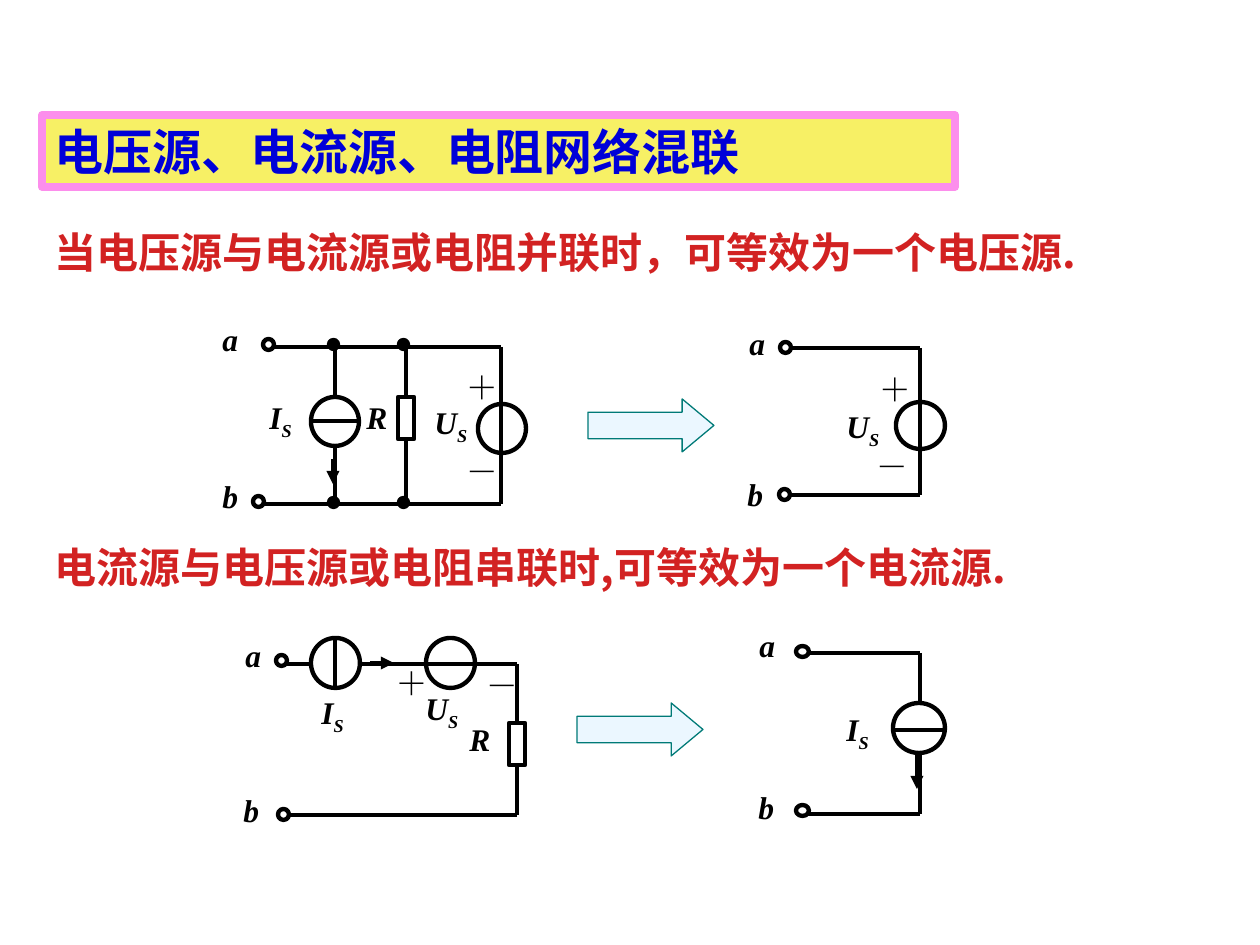
from lxml.etree import SubElement
from pptx import Presentation
from pptx.dml.color import RGBColor
from pptx.enum.shapes import MSO_CONNECTOR, MSO_SHAPE
from pptx.enum.text import MSO_ANCHOR, MSO_AUTO_SIZE, PP_ALIGN
from pptx.oxml.ns import qn
from pptx.util import Emu, Pt

BLACK = RGBColor(0x00, 0x00, 0x00)
WHITE = RGBColor(0xFF, 0xFF, 0xFF)
YELLOW = RGBColor(0xF7, 0xF0, 0x65)
PINK = RGBColor(0xFC, 0x8E, 0xEC)
BLUE = RGBColor(0x00, 0x00, 0xD8)
RED = RGBColor(0xD2, 0x22, 0x22)
PALE = RGBColor(0xEB, 0xF7, 0xFF)
TEAL = RGBColor(0x00, 0x7A, 0x77)
SANS = "Noto Sans CJK SC"
SERIF = "Times New Roman"
STROKE = 2.5


def px(count):
    """Turn pixels into EMU."""
    return Emu(round(count * 914400 / 126))


def style(para, size, name, color, slant=False):
    """Set the font of a paragraph for Latin and Chinese text."""
    para.alignment = PP_ALIGN.LEFT
    font = para.font
    font.size, font.bold, font.italic = Pt(size), True, slant
    font.color.rgb = color
    font.name = name
    SubElement(font._rPr, qn("a:ea"), typeface=name)


def paint(shape, fill, edge=BLACK, width=STROKE):
    """Set the fill and outline of a shape."""
    if fill is None:
        shape.fill.background()
    else:
        shape.fill.solid()
        shape.fill.fore_color.rgb = fill
    shape.line.color.rgb = edge
    shape.line.width = Pt(width)


def form(slide, kind, box, fill, edge=BLACK, width=STROKE):
    """Add a preset shape without shadow."""
    shape = slide.shapes.add_shape(kind, *map(px, box))
    shape.shadow.inherit = False
    paint(shape, fill, edge, width)
    return shape


def wire(slide, x1, y1, x2, y2, tip=False):
    """Add a straight wire, with an arrowhead if asked."""
    link = slide.shapes.add_connector(MSO_CONNECTOR.STRAIGHT, *map(px, (x1, y1, x2, y2)))
    link.line.color.rgb = BLACK
    link.line.width = Pt(STROKE)
    props = link._element.spPr
    if tip:
        SubElement(props.find(qn("a:ln")), qn("a:tailEnd"), type="triangle")
    SubElement(props, qn("a:effectLst"))


def frame(slide, left, right, top, low):
    """Add the top, bottom and right wires of a circuit."""
    wire(slide, left, top, right, top)
    wire(slide, left, low, right, low)
    wire(slide, right, top, right, low)


def ring(slide, x, y, wide, high, fill=None):
    """Add the circle of a source."""
    form(slide, MSO_SHAPE.OVAL, (x, y, wide, high), fill)


def port(slide, x, y, wide=11):
    """Add an open terminal."""
    ring(slide, x, y, wide, 11, WHITE)


def load(slide, x, y):
    """Add a resistor."""
    form(slide, MSO_SHAPE.RECTANGLE, (x, y, 16, 42), WHITE)


def arrow(slide, x, y):
    """Add the block arrow between two circuits."""
    shape = form(slide, MSO_SHAPE.RIGHT_ARROW, (x, y, 126, 53), PALE, TEAL, 0.75)
    shape.adjustments[1] = 0.6


def field(slide, x, y, wide, high):
    """Add an empty text box that wraps."""
    box = slide.shapes.add_textbox(*map(px, (x, y, wide, high)))
    box.text_frame.word_wrap = True
    return box


def label(slide, x, y, wide, text, sub=""):
    """Add a circuit symbol with an optional subscript."""
    box = field(slide, x, y, wide, 55 if sub else 50)
    para = box.text_frame.paragraphs[0]
    style(para, 18, SERIF, BLACK, text not in "＋－")
    para.add_run().text = text
    if sub:
        run = para.add_run()
        run.text = sub
        run.font._rPr.set("baseline", "-25000")
    return box


def note(slide, y, wide, text):
    """Add a red statement."""
    para = field(slide, 42, y, wide, 63).text_frame.paragraphs[0]
    para.text = text
    style(para, 24, SANS, RED)


def banner(slide, text):
    """Format the title as a framed band."""
    title = slide.shapes.title
    title.left, title.top, title.width, title.height = map(px, (42, 115, 913, 72))
    paint(title, YELLOW, PINK, 4.5)
    body = title.text_frame
    body.text = text
    body.auto_size = MSO_AUTO_SIZE.NONE
    body.vertical_anchor = MSO_ANCHOR.MIDDLE
    style(body.paragraphs[0], 28, SANS, BLUE)


def shunt(slide):
    """Draw the parallel network."""
    frame(slide, 263, 501, 347, 504)
    for x in (335, 406):
        wire(slide, x, 347, x, 504)
    ring(slide, 311, 397, 48, 49, WHITE)
    wire(slide, 311, 421, 358, 421)
    wire(slide, 333, 459, 333, 484, True)
    load(slide, 398, 397)
    ring(slide, 478, 404, 48, 49)
    for x in (329, 399):
        for y in (340, 498):
            ring(slide, x, y, 9, 9, BLACK)
    port(slide, 263, 339)
    port(slide, 253, 496)
    label(slide, 210, 314, 55, "a")
    label(slide, 210, 471, 55, "b")
    label(slide, 257, 392, 94, "I", "S")
    label(slide, 354, 392, 55, "R")
    label(slide, 422, 397, 72, "U", "S")
    label(slide, 454, 362, 63, "＋")
    label(slide, 454, 446, 63, "－")


def volt(slide):
    """Draw the equal voltage source."""
    frame(slide, 789, 920, 348, 495)
    ring(slide, 896, 402, 49, 47)
    port(slide, 780, 342)
    port(slide, 779, 489)
    label(slide, 737, 318, 58, "a")
    label(slide, 735, 469, 58, "b")
    label(slide, 834, 401, 107, "U", "S")
    label(slide, 867, 364, 66, "＋")
    label(slide, 864, 441, 66, "－")


def series(slide):
    """Draw the series network."""
    frame(slide, 286, 517, 664, 815)
    load(slide, 509, 723)
    ring(slide, 426, 638, 49, 50)
    ring(slide, 311, 638, 49, 50, WHITE)
    wire(slide, 335, 638, 335, 689)
    wire(slide, 370, 663, 394, 663, True)
    port(slide, 276, 655)
    port(slide, 278, 809)
    label(slide, 233, 630, 58, "a")
    label(slide, 231, 785, 58, "b")
    label(slide, 309, 687, 98, "I", "S")
    label(slide, 413, 683, 82, "U", "S")
    label(slide, 457, 714, 58, "R")
    label(slide, 377, 653, 68, "＋").rotation = 270
    label(slide, 474, 660, 49, "－")


def amp(slide):
    """Draw the equal current source."""
    frame(slide, 799, 920, 653, 814)
    ring(slide, 893, 703, 52, 50, WHITE)
    wire(slide, 893, 730, 945, 730)
    wire(slide, 917, 755, 917, 789, True)
    port(slide, 796, 646, 13)
    port(slide, 796, 805, 13)
    label(slide, 747, 620, 60, "a")
    label(slide, 746, 782, 60, "b")
    label(slide, 834, 704, 86, "I", "S")


def main():
    """Build and save the slide."""
    deck = Presentation()
    deck.slide_width, deck.slide_height = px(1260), px(945)
    slide = deck.slides.add_slide(deck.slide_layouts[5])
    banner(slide, "电压源、电流源、电阻网络混联")
    note(slide, 220, 1158, "当电压源与电流源或电阻并联时，可等效为一个电压源.")
    volt(slide)
    shunt(slide)
    arrow(slide, 588, 399)
    note(slide, 535, 1092, "电流源与电压源或电阻串联时,可等效为一个电流源.")
    amp(slide)
    series(slide)
    arrow(slide, 577, 703)
    deck.save("out.pptx")


if __name__ == "__main__":
    main()
